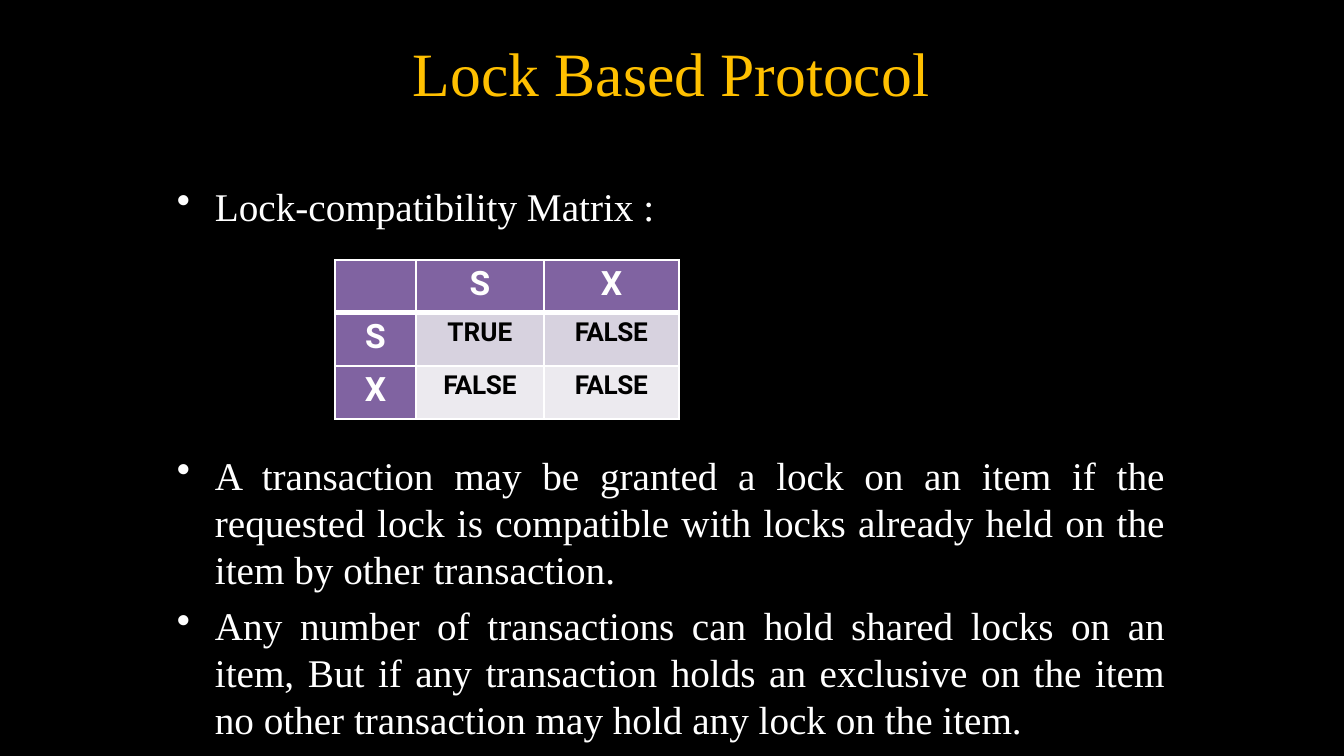
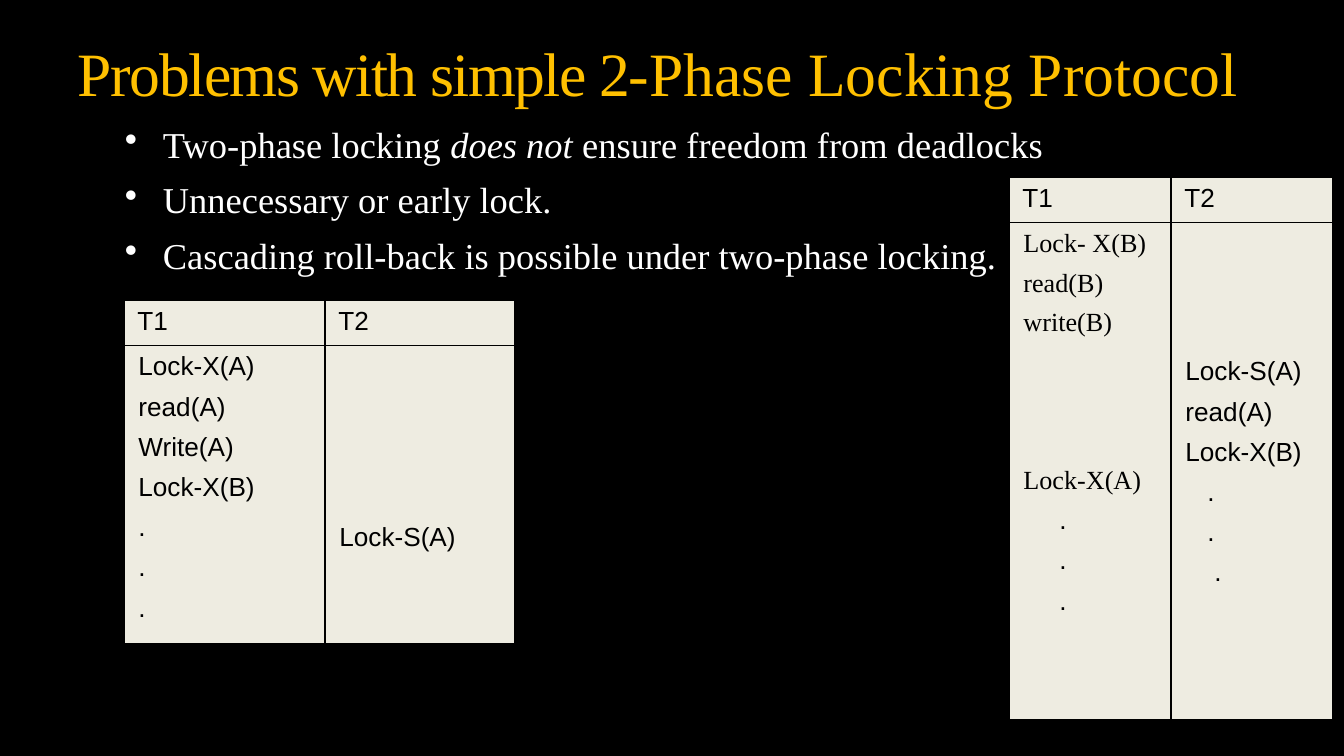
from lxml import etree
from pptx import Presentation
from pptx.dml.color import RGBColor
from pptx.enum.text import MSO_ANCHOR, MSO_AUTO_SIZE, PP_ALIGN as Align
from pptx.oxml.ns import qn
from pptx.util import Emu, Pt

PX = 914400 / 134.4
BLACK = RGBColor(0x00, 0x00, 0x00)
WHITE = RGBColor(0xFF, 0xFF, 0xFF)
GOLD = RGBColor(0xFF, 0xC0, 0x00)
PURPLE = RGBColor(0x80, 0x63, 0xA1)
LILAC = RGBColor(0xD7, 0xD2, 0xDF)
PALE_LILAC = RGBColor(0xEC, 0xEA, 0xEF)
CREAM = RGBColor(0xEE, 0xEC, 0xE1)
SERIF, SANS, MATRIX_FONT = "Times New Roman", "Arial", "Roboto"


def add_run(paragraph, text, font, size, color, bold=False, italic=False, spacing=0):
    """Add one run; spacing is the letter spacing in points."""
    run = paragraph.add_run()
    run.text = text
    run.font.name, run.font.size = font, Pt(size)
    run.font.bold, run.font.italic = bold, italic
    run.font.color.rgb = color
    if spacing:
        run._r.get_or_add_rPr().set("spc", str(round(spacing * 100)))


def style_cell(cell, fill, border_color, left=1, right=1, top=1, bottom=1):
    """Fill a cell and draw its borders, with widths in points."""
    cell.fill.solid()
    cell.fill.fore_color.rgb = fill
    properties = cell._tc.get_or_add_tcPr()
    widths = {"a:lnL": left, "a:lnR": right, "a:lnT": top, "a:lnB": bottom}
    for position, (tag, width) in enumerate(widths.items()):
        line = etree.Element(qn(tag), w=str(Pt(width)))
        solid = etree.SubElement(line, qn("a:solidFill"))
        etree.SubElement(solid, qn("a:srgbClr"), val=str(border_color))
        properties.insert(position, line)


presentation = Presentation()
presentation.slide_width = Emu(round(1344 * PX))
presentation.slide_height = Emu(round(756 * PX))
background = presentation.slide_master.background.fill
background.solid()
background.fore_color.rgb = BLACK

# Titles: left, width, runs of (text, letter spacing)
titles = [
    (413, 520, [("Lock Based Protocol", 0)]),
    (78, 1176, [("Problems with simple 2-", -0.8), ("Phase Locking Protocol", 0)]),
]
slides = []
for left, width, runs in titles:
    slide = presentation.slides.add_slide(presentation.slide_layouts[5])
    slides.append(slide)
    title = slide.shapes.title
    title.left, title.top, title.width, title.height = [
        Emu(round(length * PX)) for length in (left, 32, width, 77)]
    frame = title.text_frame
    frame.margin_left = frame.margin_right = frame.margin_bottom = 0
    frame.margin_top = Emu(round(3 * PX))
    frame.vertical_anchor = MSO_ANCHOR.TOP
    frame.auto_size = MSO_AUTO_SIZE.NONE
    frame.word_wrap = True
    paragraph = frame.paragraphs[0]
    paragraph.alignment = Align.LEFT
    for text, spacing in runs:
        add_run(paragraph, text, SERIF, 33, GOLD, spacing=spacing)
lock_slide, problems_slide = slides

# Bullet boxes: slide, place, top inset, size, space before, line spacing,
# paragraphs as runs of (text, italic)
bullet_boxes = [
    (lock_slide, (176, 179, 480, 48), 3, 21, 5, 1,
     [[("Lock-compatibility Matrix :", False)]]),
    (lock_slide, (176, 448, 990, 296), 3, 21, 5, 1, [
        [("A transaction may be granted a lock on an item if the requested lock is "
          "compatible with locks already held on the item by other transaction.", False)],
        [("Any number of transactions can hold shared locks on an item, But if any "
          "transaction holds an exclusive on the item no other transaction may hold "
          "any lock on the item.", False)],
    ]),
    (problems_slide, (124, 109, 990, 180), 13, 19.5, 4, 1.1, [
        [("Two-phase locking ", False), ("does not ", True),
         ("ensure freedom from deadlocks", False)],
        [("Unnecessary or early lock.", False)],
        [("Cascading roll-back is possible under two-phase locking.", False)],
    ]),
]
for slide, place, inset, size, gap, line_spacing, paragraphs in bullet_boxes:
    box = slide.shapes.add_textbox(*[Emu(round(length * PX)) for length in place])
    frame = box.text_frame
    frame.word_wrap = True
    frame.margin_left = frame.margin_right = frame.margin_bottom = 0
    frame.margin_top = Emu(round(inset * PX))
    for index, runs in enumerate(paragraphs):
        paragraph = frame.add_paragraph() if index else frame.paragraphs[0]
        properties = paragraph._p.get_or_add_pPr()
        properties.set("marL", str(round(39 * PX)))
        properties.set("indent", str(round(-38 * PX)))
        etree.SubElement(properties, qn("a:buChar"), char="•")
        paragraph.alignment = Align.JUSTIFY
        if index:
            paragraph.space_before = Pt(gap)
            paragraph.line_spacing = line_spacing
        for text, italic in runs:
            add_run(paragraph, text, SERIF, size, WHITE, italic=italic)

# Lock-compatibility matrix
matrix = [["", "S", "X"], ["S", "TRUE", "FALSE"], ["X", "FALSE", "FALSE"]]
table = lock_slide.shapes.add_table(
    3, 3, *[Emu(round(length * PX)) for length in (335, 260, 344, 159)]).table
table.first_row = table.horz_banding = False
for column, width in zip(table.columns, (81, 128, 135)):
    column.width = Emu(round(width * PX))
for row_index, values in enumerate(matrix):
    table.rows[row_index].height = Emu(round(53 * PX))
    for column_index, value in enumerate(values):
        cell = table.cell(row_index, column_index)
        cell.margin_left = cell.margin_right = cell.margin_bottom = 0
        cell.margin_top = Emu(round(4 * PX))
        is_heading = row_index == 0 or column_index == 0
        fill = PURPLE if is_heading else (LILAC, PALE_LILAC)[row_index - 1]
        style_cell(cell, fill, WHITE, top=3 if row_index == 1 else 1,
                   bottom=3 if row_index == 0 else 1)
        paragraph = cell.text_frame.paragraphs[0]
        paragraph.alignment = Align.CENTER
        if value:
            add_run(paragraph, value, MATRIX_FONT, 18 if is_heading else 14,
                    WHITE if is_heading else BLACK, bold=True,
                    spacing=-0.2 if value == "FALSE" else 0)

# Schedules: left, top, column widths, body height, and per transaction
# the top inset and lines of (text, font, indent, space before)
STEP = 5.8
schedules = [
    (1009, 177, (162, 162), 498, [
        (7, [("Lock- X(B)", SERIF, 1, 0), ("read(B)", SERIF, 1, STEP),
             ("write(B)", SERIF, 1, STEP), ("Lock-X(A)", SERIF, 1, 69)]
         + [(".", SANS, 37, STEP)] * 3),
        (135, [("Lock-S(A)", SANS, 1, 0), ("read(A)", SANS, 1, STEP),
               ("Lock-X(B)", SANS, 1, STEP), (".", SANS, 23, STEP),
               (".", SANS, 23, STEP), (".", SANS, 30, STEP)]),
    ]),
    (124, 300, (201, 190), 298, [
        (7, [("Lock-X(A)", SANS, 1, 0), ("read(A)", SANS, 1, STEP),
             ("Write(A)", SANS, 1, STEP), ("Lock-X(B)", SANS, 1, STEP)]
         + [(".", SANS, 1, STEP)] * 3),
        (178, [("Lock-S(A)", SANS, 1, 0)]),
    ]),
]
for left, top, widths, body_height, transactions in schedules:
    place = (left, top, sum(widths), 44 + body_height)
    table = problems_slide.shapes.add_table(
        2, 2, *[Emu(round(length * PX)) for length in place]).table
    table.first_row = table.horz_banding = False
    table.rows[0].height = Emu(round(44 * PX))
    table.rows[1].height = Emu(round(body_height * PX))
    for column_index, (inset, lines) in enumerate(transactions):
        table.columns[column_index].width = Emu(round(widths[column_index] * PX))
        heading = [(f"T{column_index + 1}", SANS, 0, 0)]
        for row_index, (margin, content) in enumerate([(7, heading), (inset, lines)]):
            cell = table.cell(row_index, column_index)
            cell.margin_top = Emu(round(margin * PX))
            style_cell(cell, CREAM, BLACK, 0.75, 0.75, 0.75, 0.75)
            frame = cell.text_frame
            for index, (text, font, indent, gap) in enumerate(content):
                paragraph = frame.add_paragraph() if index else frame.paragraphs[0]
                paragraph._p.get_or_add_pPr().set("marL", str(round(indent * PX)))
                if gap:
                    paragraph.space_before = Pt(gap)
                add_run(paragraph, text, font, 14, BLACK)

presentation.save("out.pptx")
